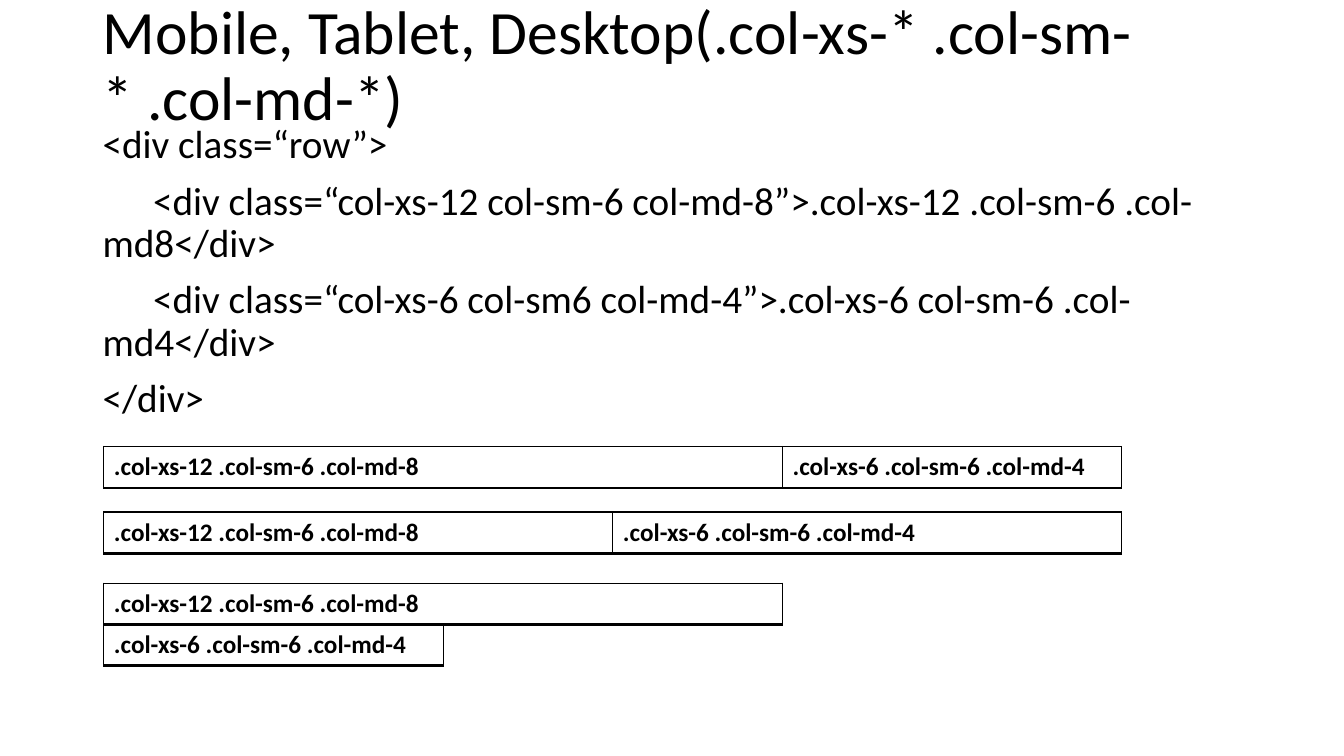
import pptx
import pptx.util
import pptx.dml.color
import pptx.enum.text
import pptx.oxml

Pt = pptx.util.Pt
BLACK = "000000"
GRID_LEFT = 74.16
GRID_UNIT = 60.6
ROW_HEIGHT = 29.5
BORDERS = {"lnL": 1, "lnR": 1, "lnT": 1, "lnB": 2}


def color(value):
    return pptx.dml.color.RGBColor.from_string(value)


def write(para, text, formats):
    span = para.add_run()
    span.text = text
    span.font.color.rgb = color(BLACK)
    for name, value in formats.items():
        setattr(span.font, name, value)


deck = pptx.Presentation()
deck.slide_width = Pt(960)
deck.slide_height = Pt(540)
page = deck.slides.add_slide(deck.slide_layouts[6])

title = ["Mobile, Tablet, Desktop(.col-xs-* .col-sm-* .col-md-*)"]
code = [
    "<div class=“row”>",
    "\t<div class=“col-xs-12 col-sm-6 col-md-8”>.col-xs-12 .col-sm-6 .col-md8</div>",
    "\t<div class=“col-xs-6 col-sm6 col-md-4”>.col-xs-6 col-sm-6 .col-md4</div>",
    "</div>",
]
anchors = pptx.enum.text.MSO_ANCHOR
blocks = [
    (title, 20.16, 56.16, 44, 0, anchors.MIDDLE),
    (code, 85.68, 401.76, 28, 10, anchors.TOP),
]
for lines, top, height, size, space, anchor in blocks:
    box = page.shapes.add_textbox(Pt(66.24), Pt(top), Pt(828), Pt(height))
    frame = box.text_frame
    frame.word_wrap = True
    frame.vertical_anchor = anchor
    for index, line in enumerate(lines):
        para = frame.add_paragraph() if index else frame.paragraphs[0]
        para.line_spacing = 0.9
        para.space_before = Pt(space)
        write(para, line, {"name": "Calibri", "size": Pt(size)})

wide = ".col-xs-12 .col-sm-6 .col-md-8"
narrow = ".col-xs-6 .col-sm-6 .col-md-4"
grid_rows = [
    (318.96, [(wide, 8), (narrow, 4)]),
    (416.6, [(wide, 8)]),
    (446, [(narrow, 4)]),
    (365.76, [(wide, 6), (narrow, 6)]),
]
for top, columns in grid_rows:
    width = GRID_UNIT * sum(units for label, units in columns)
    holder = page.shapes.add_table(
        1, len(columns), Pt(GRID_LEFT), Pt(top), Pt(width), Pt(ROW_HEIGHT)
    )
    table = holder.table
    table.first_row = False
    table.horz_banding = False
    for index, (label, units) in enumerate(columns):
        table.columns[index].width = Pt(GRID_UNIT * units)
        cell = table.cell(0, index)
        write(
            cell.text_frame.paragraphs[0],
            label,
            {"name": "Calibri", "size": Pt(18), "bold": True},
        )
        properties = cell._tc.get_or_add_tcPr()
        for side, weight in BORDERS.items():
            properties.append(pptx.oxml.parse_xml(
                f'<a:{side} xmlns:a="http://schemas.openxmlformats.org/drawingml/2006/main"'
                f' w="{Pt(weight)}"><a:solidFill><a:srgbClr val="{BLACK}"/></a:solidFill></a:{side}>'
            ))
        cell.fill.background()

deck.save("out.pptx")
